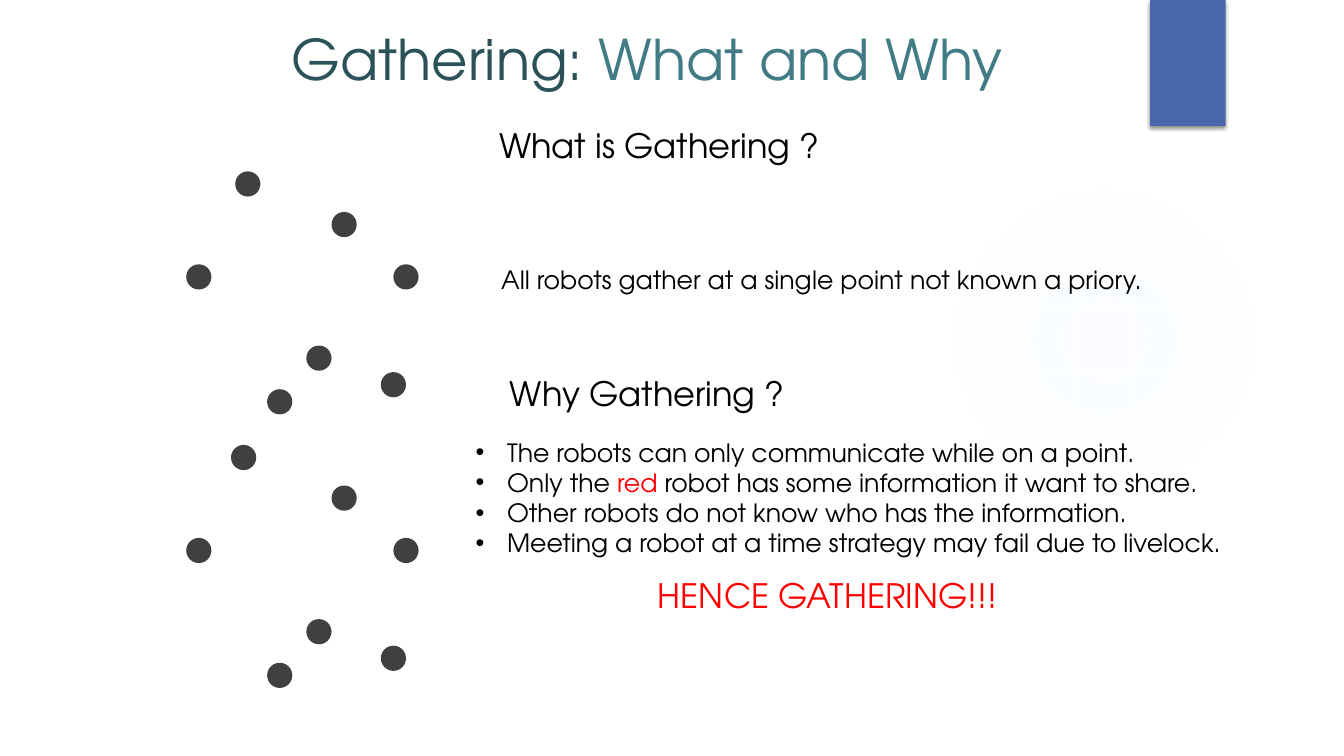
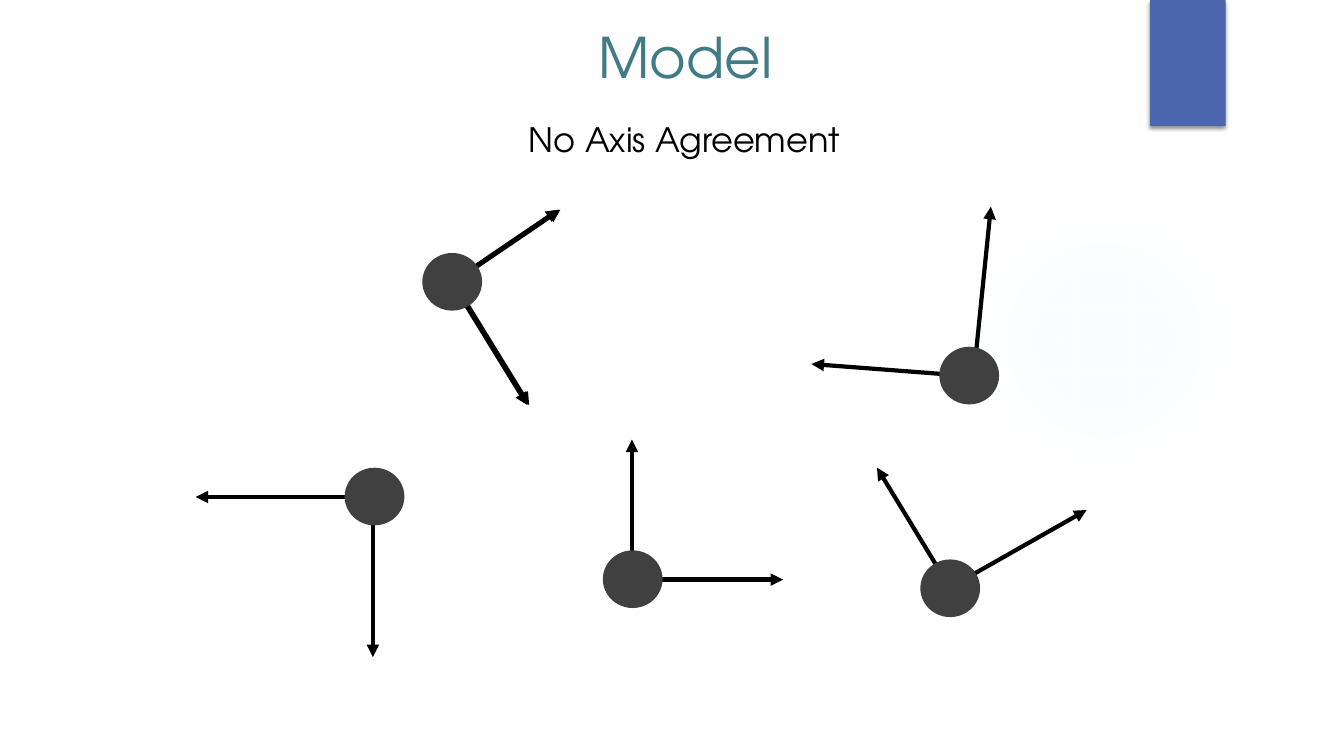
import pptx
import pptx.util
import pptx.dml.color
import pptx.enum.shapes
import pptx.enum.text
import pptx.oxml
from pptx.oxml.ns import qn

Pt = pptx.util.Pt
KIND = pptx.enum.shapes.MSO_SHAPE
ALIGN = pptx.enum.text.PP_ALIGN
NS = 'xmlns:a="http://schemas.openxmlformats.org/drawingml/2006/main"'
FONT = "TeX Gyre Adventor"
HUES = {"dark": "2B5259", "teal": "417B85", "band": "4A66AC", "glow": "CDE0FB",
        "robot": "404040", "ink": "000000", "red": "FF0000"}


def rgb(name):
    return pptx.dml.color.RGBColor.from_string(HUES[name])


def shape(slide, kind, left, top, width, height, fill):
    item = slide.shapes.add_shape(kind, Pt(left), Pt(top), Pt(width), Pt(height))
    item.shadow.inherit = False
    item.fill.solid()
    item.fill.fore_color.rgb = rgb(fill)
    item.line.fill.background()
    return item


# Each line of text is a list of (words, colour) runs
def text(slide, lines, left, top, width, height, size=24, bullet=False):
    box = slide.shapes.add_textbox(Pt(left), Pt(top), Pt(width), Pt(height))
    frame = box.text_frame
    frame.word_wrap = True
    frame.vertical_anchor = pptx.enum.text.MSO_ANCHOR.MIDDLE
    for i, runs in enumerate(lines):
        para = frame.add_paragraph() if i else frame.paragraphs[0]
        para.alignment = ALIGN.LEFT if bullet else ALIGN.CENTER
        if bullet:
            props = para._p.get_or_add_pPr()
            props.set("marL", str(Pt(22.5)))
            props.set("indent", str(-Pt(22.5)))
            props.append(pptx.oxml.parse_xml(f'<a:buFont {NS} typeface="Arial"/>'))
            props.append(pptx.oxml.parse_xml(f'<a:buChar {NS} char="\u2022"/>'))
        for words, hue in runs:
            run = para.add_run()
            run.text = words
            run.font.name = FONT
            run.font.size = Pt(size)
            run.font.color.rgb = rgb(hue)


deck = pptx.Presentation()
deck.slide_width, deck.slide_height = Pt(960), Pt(540)

# Shared backdrop and titles
stops = "".join(
    f'<a:gs pos="{pos}000"><a:srgbClr val="{HUES["glow"]}">'
    f'<a:alpha val="{alpha}000"/></a:srgbClr></a:gs>'
    for pos, alpha in [(0, 7), (36, 6), (69, 0)])
GLOW = (f'<a:gradFill {NS} rotWithShape="1"><a:gsLst>{stops}</a:gsLst><a:path path="circle">'
        '<a:fillToRect l="50000" t="50000" r="50000" b="50000"/></a:path></a:gradFill>')
SHADE = (f'<a:outerShdw {NS} blurRad="{Pt(3)}" dist="{Pt(2)}" dir="5400000" rotWithShape="0">'
         f'<a:srgbClr val="{HUES["ink"]}"><a:alpha val="45000"/></a:srgbClr></a:outerShdw>')

titles = [([("Gathering: ", "dark"), ("What and Why", "teal")], 93.6, 17.3),
          ([("Model", "teal")], 121, 15.8)]
slides = []
for title, left, top in titles:
    slide = deck.slides.add_slide(deck.slide_layouts[6])
    glow = shape(slide, KIND.OVAL, 677.5, 131.8, 221.8, 221.8, "glow")
    props = glow._element.spPr
    props.replace(props.find(qn("a:solidFill")), pptx.oxml.parse_xml(GLOW))
    band = shape(slide, KIND.RECTANGLE, 821.5, 0, 54, 90, "band")
    band._element.spPr.find(qn("a:effectLst")).append(pptx.oxml.parse_xml(SHADE))
    text(slide, [title], left, top, 737.3, 49, size=40)
    slides.append(slide)
why, model = slides

# Two swarms of robots; the lower one has its first robot further left
swarm = [(133, 188.8), (218.8, 246.8), (236.8, 151.4),
         (281, 188.8), (272, 265.8), (190.8, 278)]
for first, drop in [(168, 0), (165, 195.4)]:
    for left, top in [(first, 122.4)] + swarm:
        shape(why, KIND.OVAL, left, top + drop, 18, 18, "robot")

# What and why
text(why, [[("What is Gathering ?", "ink")]], 242, 55.4, 458, 95.8)
text(why, [[("Why Gathering ?", "ink")]], 233.3, 232.6, 458, 95.8)
text(why, [[("All robots gather at a single point not known a priory.", "ink")]],
     329.8, 152, 514, 95.8, size=18)
reasons = [
    [("The robots can only communicate while on a point.", "ink")],
    [("Only the ", "ink"), ("red", "red"),
     (" robot has some information it want to share.", "ink")],
    [("Other robots do not know who has the information.", "ink")],
    [("Meeting a robot at a time strategy may fail due to livelock.", "ink")],
]
text(why, reasons, 332.6, 307.4, 627, 95.8, size=18, bullet=True)
text(why, [[("HENCE GATHERING!!!", "red")]], 362.2, 377.3, 458, 95.8)

# Local axes of each robot, from start to tip
axes = [
    (266.4, 355, 266.4, 469.4), (266.4, 355, 139.7, 355),
    (695.5, 268.6, 707.8, 147.6), (692, 268.6, 579.6, 260),
    (451.4, 414, 559.4, 414), (451.4, 412, 451.4, 314),
    (679, 420.5, 626.4, 334), (679.7, 419, 776.2, 364.3),
]
# The top left robot has its axes drawn twice, slightly apart
for shift in (0, -1.2):
    axes += [(324 + shift, 201.6, 378 + shift, 289.4),
             (324 + shift, 201.6, 400.3 + shift, 149.8)]
for ends in axes:
    axis = model.shapes.add_connector(
        pptx.enum.shapes.MSO_CONNECTOR.STRAIGHT, *[Pt(end) for end in ends])
    axis.line.color.rgb = rgb("ink")
    axis.line.width = Pt(3)
    axis.line._get_or_add_ln().append(
        pptx.oxml.parse_xml(f'<a:tailEnd {NS} type="triangle"/>'))
    axis._element.spPr.append(pptx.oxml.parse_xml(f"<a:effectLst {NS}/>"))

# Robots cover the starts of their axes
for left, top in [(301.7, 180.7), (671, 247.7), (246.2, 334.1), (430.6, 393.1), (657.4, 399.6)]:
    shape(model, KIND.OVAL, left, top, 42.7, 41.2, "robot")
text(model, [[("No Axis Agreement", "ink")]], 127.4, 73.4, 723, 51.8)

deck.save("out.pptx")
